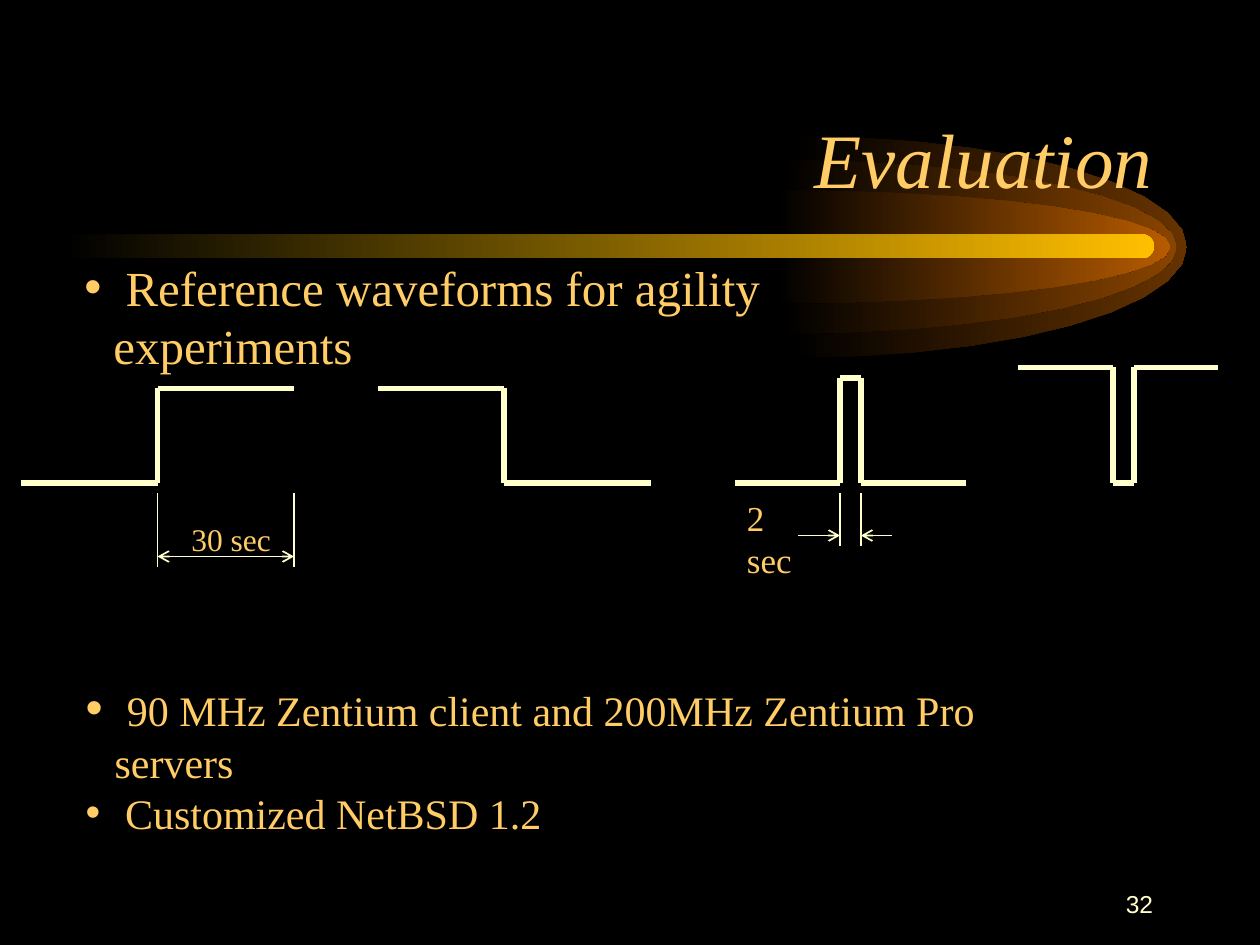
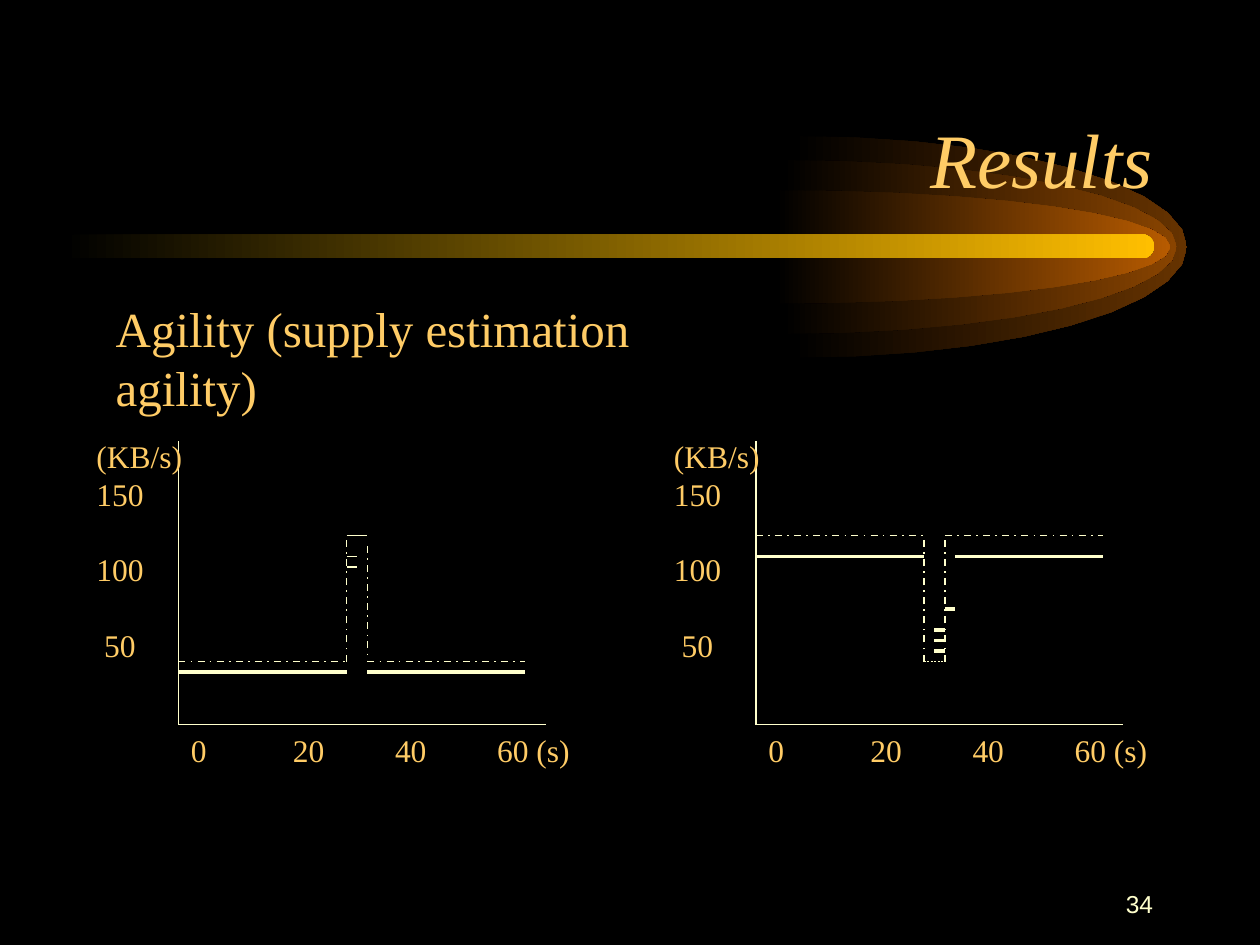
from dataclasses import dataclass
from itertools import pairwise
from math import cos, pi, sin

from lxml import etree
from pptx import Presentation
from pptx.dml.color import RGBColor
from pptx.enum.dml import MSO_LINE
from pptx.enum.shapes import MSO_CONNECTOR, MSO_SHAPE
from pptx.enum.text import MSO_ANCHOR, MSO_AUTO_SIZE, PP_ALIGN
from pptx.oxml.ns import qn
from pptx.util import Inches, Pt

STRAIGHT = MSO_CONNECTOR.STRAIGHT
ROUNDED = MSO_SHAPE.ROUNDED_RECTANGLE
DASH_DOT, DOTTED = MSO_LINE.DASH_DOT, MSO_LINE.ROUND_DOT
MIDDLE, BOTTOM = MSO_ANCHOR.MIDDLE, MSO_ANCHOR.BOTTOM
FIXED, GROW = MSO_AUTO_SIZE.NONE, MSO_AUTO_SIZE.SHAPE_TO_FIT_TEXT
RIGHT = PP_ALIGN.RIGHT
TITLE_ONLY_LAYOUT, TWO_CONTENT_LAYOUT = 5, 3
GRID_PER_INCH = 12

GridPoint = tuple[int, int]


@dataclass(frozen=True)
class Theme:
    background: str = "000000"
    text: str = "FFCC66"
    line: str = "FFFFCC"
    bar: str = "FFBF00"
    serif: str = "Times New Roman"
    sans: str = "Arial"
    title_size: int = 44
    heading_size: int = 28
    list_size: int = 24
    callout_size: int = 20
    label_size: int = 18
    number_size: int = 14


THEME = Theme()


@dataclass(frozen=True)
class Box:
    left: float
    top: float
    width: float
    height: float

    def lengths(self) -> list[int]:
        return [Inches(v) for v in (self.left, self.top, self.width, self.height)]


@dataclass(frozen=True)
class Flare:
    center_x: float
    radius_y: float
    color: str


@dataclass(frozen=True)
class Pen:
    width: float
    dash: MSO_LINE | None = None
    head: bool = False
    tail: bool = False


@dataclass(frozen=True)
class Trace:
    pen: Pen
    points: tuple[GridPoint, ...]


@dataclass(frozen=True)
class Plot:
    axis_x: int
    traces: tuple[Trace, ...]


@dataclass(frozen=True)
class ListItem:
    text: str
    size: int
    lead_size: int


THIN, MEDIUM, THICK = Pen(1), Pen(2.25), Pen(3)
DASHED, DOTS = Pen(1, DASH_DOT), Pen(1, DOTTED)
TO_END, TO_START, BOTH_ENDS = Pen(1, tail=True), Pen(1, head=True), Pen(1, head=True, tail=True)

BAR_BOX = Box(0.5, 1.86, 8.66, 0.19)
BAR_CENTER_Y = 1.96
FLARE_RADIUS_X = 3.13
FLARE_SEGMENTS = 20
FLARES = (
    Flare(6.29, 0.88, "663300"),
    Flare(6.21, 0.69, "894400"),
    Flare(6.16, 0.45, "B75B00"),
)

SIGNALS = (
    Trace(THICK, ((2, 46), (15, 46), (15, 37), (28, 37))),
    Trace(THICK, ((36, 37), (48, 37), (48, 46), (62, 46))),
    Trace(THICK, ((70, 46), (80, 46), (80, 36), (82, 36), (82, 46), (92, 46))),
    Trace(THICK, ((97, 35), (106, 35), (106, 46), (108, 46), (108, 35), (116, 35))),
)
DIMENSIONS = (
    Trace(THIN, ((15, 47), (15, 54))),
    Trace(THIN, ((28, 47), (28, 54))),
    Trace(BOTH_ENDS, ((15, 53), (28, 53))),
    Trace(THIN, ((80, 47), (80, 52))),
    Trace(THIN, ((82, 47), (82, 52))),
    Trace(TO_END, ((76, 51), (80, 51))),
    Trace(TO_START, ((82, 51), (85, 51))),
)

PULSE_START, PULSE_MIDDLE, PULSE_END, SETTLED, TRACE_END = 16, 17, 18, 19, 33
AXIS_TOP, AXIS_BOTTOM, AXIS_LENGTH = 42, 69, 35
HIGH, LOW = 51, 63
TIME_TICKS = ("0", "20", "40", "60 (s)")
TIME_STEP = 0.81
RATE_LABELS = ("(KB/s)", "150", "100", " 50")
RATE_GAPS = (0, 0, 21.6, 21.6)


def levels(start: int, end: int, heights: tuple[int, ...], pen: Pen) -> tuple[Trace, ...]:
    return tuple(Trace(pen, ((start, y), (end, y))) for y in heights)


PLOTS = (
    Plot(17, (
        Trace(DASHED, ((0, LOW), (PULSE_START, LOW), (PULSE_START, HIGH))),
        Trace(THIN, ((PULSE_START, HIGH), (PULSE_MIDDLE, HIGH), (PULSE_END, HIGH))),
        Trace(DASHED, ((PULSE_END, 52), (PULSE_END, LOW), (TRACE_END, LOW))),
        *levels(0, PULSE_START, (64,), MEDIUM),
        *levels(PULSE_END, TRACE_END, (64,), MEDIUM),
        *levels(PULSE_START, PULSE_MIDDLE, (53, 54), THIN),
        *levels(PULSE_MIDDLE, PULSE_MIDDLE, (59,), THIN),
    )),
    Plot(72, (
        Trace(DASHED, ((0, HIGH), (PULSE_START, HIGH))),
        Trace(DASHED, ((PULSE_START, LOW), (PULSE_START, HIGH))),
        Trace(DOTS, ((PULSE_START, LOW), (PULSE_END, LOW))),
        Trace(DASHED, ((PULSE_END, LOW), (PULSE_END, HIGH))),
        Trace(DASHED, ((PULSE_END, HIGH), (TRACE_END, HIGH))),
        *levels(0, PULSE_START, (53,), MEDIUM),
        *levels(SETTLED, TRACE_END, (53,), MEDIUM),
        *levels(PULSE_MIDDLE, PULSE_END, (60, 61, 62), MEDIUM),
        *levels(PULSE_END, SETTLED, (58,), MEDIUM),
    )),
)


def rgb(value: str) -> RGBColor:
    return RGBColor.from_string(value)


def style_font(font, size: int, color: str = THEME.text, name: str = THEME.serif) -> None:
    font.name = name
    font.size = Pt(size)
    font.color.rgb = rgb(color)


def place(shape, box: Box) -> None:
    shape.left, shape.top, shape.width, shape.height = box.lengths()


def add_label(slide, box: Box, lines: tuple[str, ...], size: int = THEME.label_size,
              gaps: tuple[float, ...] = (0,)):
    text_frame = slide.shapes.add_textbox(*box.lengths()).text_frame
    text_frame.word_wrap = False
    text_frame.auto_size = GROW
    text_frame.text = "\n".join(lines)
    for paragraph, gap in zip(text_frame.paragraphs, gaps):
        if gap:
            paragraph.space_before = Pt(gap)
        style_font(paragraph.runs[0].font, size)
    return text_frame


def add_tabs(paragraph, step: float, count: int) -> None:
    tabs = etree.SubElement(paragraph._p.get_or_add_pPr(), qn("a:tabLst"))
    for index in range(1, count + 1):
        etree.SubElement(tabs, qn("a:tab"), pos=str(Inches(index * step)), algn="l")


def add_line(slide, start: GridPoint, end: GridPoint, pen: Pen) -> None:
    ends = [Inches(value / GRID_PER_INCH) for value in (*start, *end)]
    connector = slide.shapes.add_connector(STRAIGHT, *ends)
    connector.line.color.rgb = rgb(THEME.line)
    connector.line.width = Pt(pen.width)
    if pen.dash is not None:
        connector.line.dash_style = pen.dash
    properties = connector._element.spPr
    for tag, wanted in (("a:headEnd", pen.head), ("a:tailEnd", pen.tail)):
        if wanted:
            etree.SubElement(properties.find(qn("a:ln")), qn(tag), type="arrow")
    etree.SubElement(properties, qn("a:effectLst"))


def draw_trace(slide, trace: Trace, offset_x: int = 0) -> None:
    points = [(offset_x + x, y) for x, y in trace.points]
    for start, end in pairwise(points):
        add_line(slide, start, end, trace.pen)


def fill_gradient(shape, color: str) -> None:
    shape.shadow.inherit = False
    shape.line.fill.background()
    shape.fill.gradient()
    shape.fill.gradient_angle = 0
    for stop, value in zip(shape.fill.gradient_stops, (THEME.background, color)):
        stop.color.rgb = rgb(value)


def add_flare(slide, flare: Flare):
    angles = [pi * (step / FLARE_SEGMENTS - 0.5) for step in range(FLARE_SEGMENTS + 1)]
    points = [(Inches(flare.center_x + FLARE_RADIUS_X * cos(angle)),
               Inches(BAR_CENTER_Y + flare.radius_y * sin(angle))) for angle in angles]
    builder = slide.shapes.build_freeform(*points[0])
    builder.add_line_segments(points[1:])
    shape = builder.convert_to_shape()
    fill_gradient(shape, flare.color)
    return shape


def decorate_master(presentation, slide) -> None:
    master = presentation.slide_master
    master.background.fill.solid()
    master.background.fill.fore_color.rgb = rgb(THEME.background)
    shapes = [add_flare(slide, flare) for flare in FLARES]
    bar = slide.shapes.add_shape(ROUNDED, *BAR_BOX.lengths())
    bar.adjustments[0] = 0.5
    fill_gradient(bar, THEME.bar)
    for shape in (*shapes, bar):
        master.shapes._spTree.append(shape._element)


def add_slide(presentation, layout: int, title: str, number: int):
    slide = presentation.slides.add_slide(presentation.slide_layouts[layout])
    shape = slide.shapes.title
    place(shape, Box(0.75, 0.42, 8.5, 1.25))
    shape.text_frame.auto_size = FIXED
    shape.text_frame.vertical_anchor = BOTTOM
    shape.text_frame.text = title
    paragraph = shape.text_frame.paragraphs[0]
    paragraph.alignment = RIGHT
    style_font(paragraph.runs[0].font, THEME.title_size)
    paragraph.runs[0].font.italic = True
    text_frame = add_label(slide, Box(7.17, 6.92, 2.08, 0.5), (str(number),))
    text_frame.auto_size = FIXED
    text_frame.vertical_anchor = MIDDLE
    paragraph = text_frame.paragraphs[0]
    paragraph.alignment = RIGHT
    style_font(paragraph.runs[0].font, THEME.number_size, THEME.line, THEME.sans)
    return slide


def fill_list(placeholder, box: Box, items: tuple[ListItem, ...]) -> None:
    place(placeholder, box)
    text_frame = placeholder.text_frame
    text_frame.word_wrap = True
    text_frame.auto_size = GROW
    for index, item in enumerate(items):
        paragraph = text_frame.add_paragraph() if index else text_frame.paragraphs[0]
        properties = paragraph._p.get_or_add_pPr()
        properties.set("marL", str(Inches(0.23)))
        properties.set("indent", str(-Inches(0.23)))
        paragraph.space_before = Pt(0)
        parts = ((" " + item.text, item.size),)
        if item.lead_size != item.size:
            parts = ((" ", item.lead_size), (item.text, item.size))
        for text, size in parts:
            run = paragraph.add_run()
            run.text = text
            style_font(run.font, size)


def draw_plot(slide, plot: Plot) -> None:
    axes = Trace(THIN, ((0, AXIS_TOP), (0, AXIS_BOTTOM), (AXIS_LENGTH, AXIS_BOTTOM)))
    draw_trace(slide, axes, plot.axis_x)
    left = plot.axis_x / GRID_PER_INCH
    time_box = Box(left, AXIS_BOTTOM / GRID_PER_INCH, 3.21, 0.4)
    time_frame = add_label(slide, time_box, ("\t".join(TIME_TICKS),))
    add_tabs(time_frame.paragraphs[0], TIME_STEP, len(TIME_TICKS) - 1)
    add_label(slide, Box(left - 0.75, 3.42, 0.88, 1.9), RATE_LABELS, gaps=RATE_GAPS)
    for trace in plot.traces:
        draw_trace(slide, trace, plot.axis_x)


def build_evaluation(presentation) -> None:
    slide = add_slide(presentation, TWO_CONTENT_LAYOUT, "Evaluation", 32)
    decorate_master(presentation, slide)
    large, small = THEME.heading_size, THEME.list_size
    fill_list(slide.placeholders[1], Box(0.57, 1.99, 7.46, 0.57),
              (ListItem("Reference waveforms for agility experiments", large, large),))
    fill_list(slide.placeholders[2], Box(0.58, 5.33, 8.15, 0.97),
              (ListItem("90 MHz Zentium client and 200MHz Zentium Pro servers", small, large),
               ListItem("Customized NetBSD 1.2", small, small)))
    for trace in SIGNALS + DIMENSIONS:
        draw_trace(slide, trace)
    add_label(slide, Box(1.42, 4.08, 0.83, 0.4), ("30 sec",))
    add_label(slide, Box(5.83, 3.89, 0.76, 0.44), ("2 sec",), THEME.callout_size)


def build_results(presentation) -> None:
    slide = add_slide(presentation, TITLE_ONLY_LAYOUT, "Results", 34)
    add_label(slide, Box(0.82, 2.32, 5.49, 0.57), ("Agility (supply estimation agility)",),
              THEME.heading_size)
    for plot in PLOTS:
        draw_plot(slide, plot)


def main() -> None:
    presentation = Presentation()
    presentation.slide_width, presentation.slide_height = Inches(10), Inches(7.5)
    build_evaluation(presentation)
    build_results(presentation)
    presentation.save("out.pptx")


if __name__ == "__main__":
    main()
